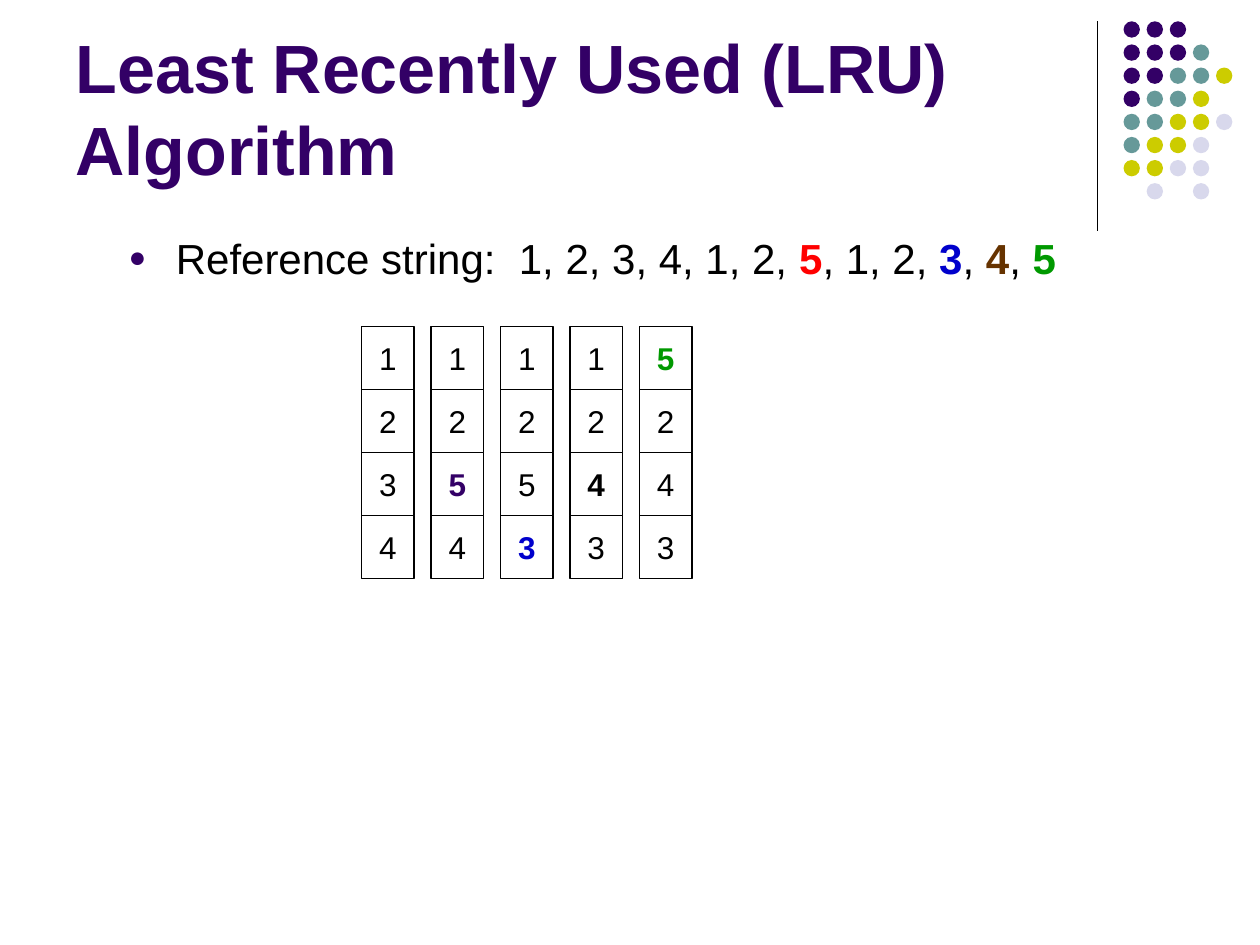
from lxml.etree import SubElement
from pptx import Presentation
from pptx.dml.color import RGBColor
from pptx.enum.shapes import MSO_CONNECTOR as Connector, MSO_SHAPE as Shape
from pptx.enum.text import MSO_ANCHOR as Anchor, MSO_AUTO_SIZE as AutoSize, PP_ALIGN as Align
from pptx.oxml.ns import qn
from pptx.util import Cm, Pt

FONT = "Arial"
BLACK, WHITE, PURPLE = "000000", "FFFFFF", "330066"
RED, BLUE, BROWN, GREEN = "FF0000", "0000CC", "663300", "009900"
DOT_COLOURS = {"P": PURPLE, "T": "669999", "Y": "CCCC00", "L": "D8D8EC"}
DOT_ROWS = ["PPP", "PPPT", "PPTTY", "PTTY", "TTYYL", "TYYL", "YYLL", " L L"]
REFERENCES = [
    ("Reference string:  1, 2, 3, 4, 1, 2, ", BLACK, False),
    ("5", RED, True),
    (", 1, 2, ", BLACK, False),
    ("3", BLUE, True),
    (", ", BLACK, False),
    ("4", BROWN, True),
    (", ", BLACK, False),
    ("5", GREEN, True),
]
FRAME_STATES = [
    ("1234", None, BLACK),
    ("1254", 2, PURPLE),
    ("1253", 3, BLUE),
    ("1243", 2, BLACK),
    ("5243", 0, GREEN),
]


def colour(hex_value):
    return RGBColor.from_string(hex_value)


def style_font(font, size, hex_value, bold=False):
    font.name = FONT
    font.size = Pt(size)
    font.bold = bold
    font.color.rgb = colour(hex_value)


def place(shape, left, top, width, height):
    shape.left, shape.top = Cm(left), Cm(top)
    shape.width, shape.height = Cm(width), Cm(height)


def add_filled_shape(slide, preset, left, top, width, height, fill):
    shape = slide.shapes.add_shape(preset, Cm(left), Cm(top), Cm(width), Cm(height))
    shape.shadow.inherit = False
    shape.fill.solid()
    shape.fill.fore_color.rgb = colour(fill)
    return shape


def add_dot_ornament(slide, left, top, height):
    line = slide.shapes.add_connector(
        Connector.STRAIGHT, Cm(left), Cm(top), Cm(left), Cm(top + height))
    line.line.color.rgb = colour(BLACK)
    line.line.width = Pt(0.75)
    SubElement(line._element.spPr, qn("a:effectLst"))
    pitch, diameter, gap = 0.466, 0.33, 0.53
    for row, codes in enumerate(DOT_ROWS):
        for column, code in enumerate(codes):
            if code in DOT_COLOURS:
                dot = add_filled_shape(
                    slide, Shape.OVAL, left + gap + column * pitch, top + row * pitch,
                    diameter, diameter, DOT_COLOURS[code])
                dot.line.fill.background()


def fill_title(slide, left, top, width, height):
    title = slide.shapes.title
    place(title, left, top, width, height)
    frame = title.text_frame
    frame.text = "Least Recently Used (LRU) Algorithm"
    frame.word_wrap = True
    frame.auto_size = AutoSize.NONE
    frame.vertical_anchor = Anchor.BOTTOM
    paragraph = frame.paragraphs[0]
    paragraph.alignment = Align.LEFT
    style_font(paragraph.runs[0].font, 39, PURPLE, True)


def add_bullet(paragraph):
    properties = paragraph._p.get_or_add_pPr()
    properties.set("marL", str(Cm(0.95)))
    properties.set("indent", str(-Cm(0.95)))
    bullet_colour = SubElement(properties, qn("a:buClr"))
    SubElement(bullet_colour, qn("a:srgbClr"), val=PURPLE)
    SubElement(properties, qn("a:buSzPct"), val="70000")
    SubElement(properties, qn("a:buFont"), typeface=FONT)
    SubElement(properties, qn("a:buChar"), char="●")


def fill_reference_string(slide, left, top, width, height):
    body = slide.placeholders[1]
    place(body, left, top, width, height)
    frame = body.text_frame
    frame.word_wrap = True
    frame.auto_size = AutoSize.NONE
    paragraph = frame.paragraphs[0]
    paragraph.space_before = Pt(0)
    add_bullet(paragraph)
    for text, hex_value, bold in REFERENCES:
        run = paragraph.add_run()
        run.text = text
        style_font(run.font, 24, hex_value, bold)


def add_page_frames(slide, left, top):
    pitch, width, height = 1.4, 1.06, 1.27
    for column, (pages, changed, highlight) in enumerate(FRAME_STATES):
        for row, page in enumerate(pages):
            cell = add_filled_shape(
                slide, Shape.RECTANGLE, left + column * pitch, top + row * height,
                width, height, WHITE)
            cell.line.color.rgb = colour(BLACK)
            cell.line.width = Pt(0.75)
            frame = cell.text_frame
            frame.text = page
            frame.word_wrap = False
            frame.vertical_anchor = Anchor.MIDDLE
            paragraph = frame.paragraphs[0]
            paragraph.alignment = Align.CENTER
            is_changed = row == changed
            style_font(paragraph.runs[0].font, 18,
                       highlight if is_changed else BLACK, is_changed)


def main():
    presentation = Presentation()
    presentation.slide_width, presentation.slide_height = Cm(25.4), Cm(19.05)
    slide = presentation.slides.add_slide(presentation.slide_layouts[1])
    add_dot_ornament(slide, 22.12, 0.43, 4.22)
    fill_title(slide, 1.27, 0.33, 20.96, 3.61)
    fill_reference_string(slide, 2.34, 4.55, 20.42, 12.45)
    add_page_frames(slide, 7.29, 6.58)
    presentation.save("out.pptx")


if __name__ == "__main__":
    main()
